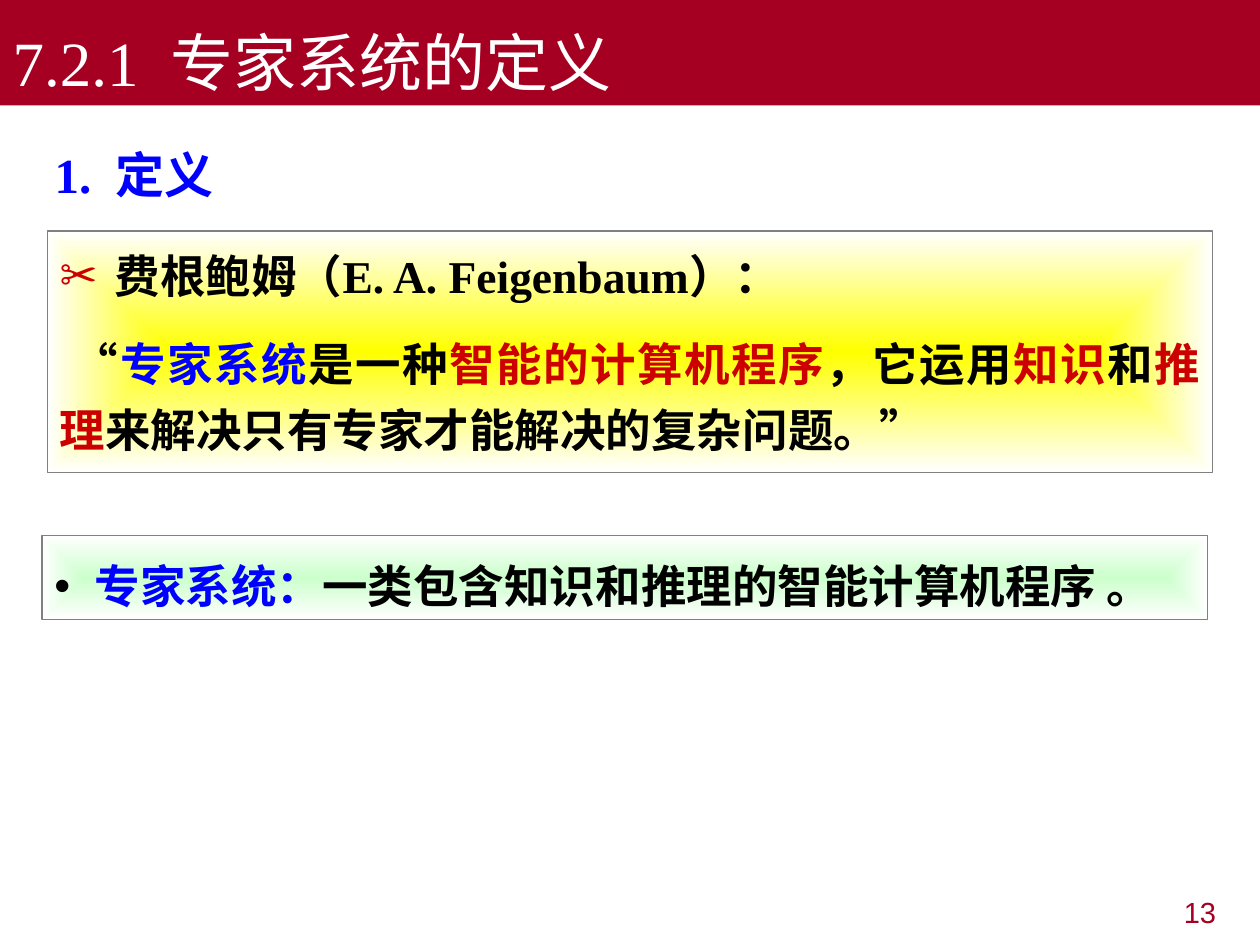
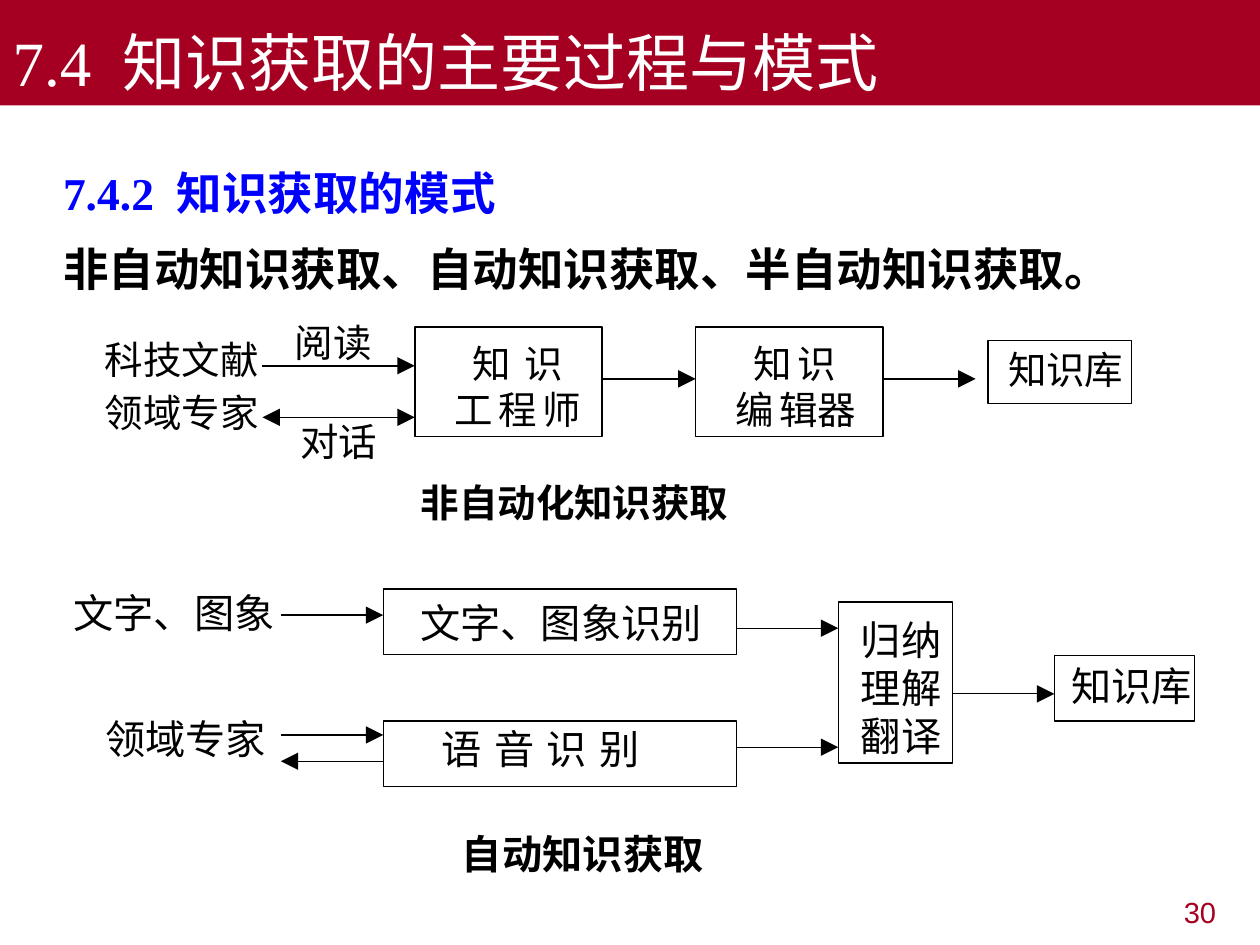
from dataclasses import dataclass

from lxml import etree
from pptx import Presentation
from pptx.dml.color import RGBColor
from pptx.enum.shapes import MSO_CONNECTOR as Connector, MSO_SHAPE as Shape
from pptx.enum.text import MSO_ANCHOR as Anchor, MSO_AUTO_SIZE as AutoSize, PP_ALIGN as Align
from pptx.oxml.ns import qn
from pptx.util import Pt


@dataclass(frozen=True)
class Theme:
    band: str = "A50021"
    white: str = "FFFFFF"
    black: str = "000000"
    blue: str = "0000FF"
    red: str = "CC0000"
    grey: str = "808080"
    yellow: str = "FFFF00"
    green: str = "CCFFCC"
    serif: str = "Times New Roman"
    sans: str = "Arial"
    plain: str = "DejaVu Sans"
    cjk: str = "Noto Sans CJK SC"
    title: float = 36
    heading: float = 28
    body: float = 26
    number: float = 16.6


theme = Theme()

# A paragraph is a list of (text, colour) spans; all places are in points.
# A bullet is (mark, colour, font, hanging indent).
DEFINITION = {
    "title": "7.2.1  专家系统的定义",
    "number": "13",
    "body": {
        "place": (24, 72, 666, 318),
        "paragraphs": [[("1.  定义", theme.blue)]],
        "size": theme.heading, "spacing": 1.2, "align": Align.JUSTIFY,
    },
}
PANELS = [
    {
        "place": (27, 132, 666, 138), "glow": theme.yellow,
        "paragraphs": [
            [(" 费根鲍姆（E. A. Feigenbaum）：", theme.black)],
            [(" “", theme.black), ("专家系统", theme.blue), ("是一种", theme.black),
             ("智能的计算机程序", theme.red), ("，它运用", theme.black),
             ("知识", theme.red), ("和", theme.black), ("推理", theme.red),
             ("来解决只有专家才能解决的复杂问题。”", theme.black)],
        ],
        "bullet": ("✂", theme.red, theme.plain, 25.5),
        "spacing": 1.2, "gap": 13, "align": Align.JUSTIFY,
    },
    {
        "place": (24, 306, 666, 48), "glow": theme.green,
        "paragraphs": [[(" ", theme.black), ("专家系统：", theme.blue),
                        ("一类包含知识和推理的智能计算机程序 。", theme.black)]],
        "bullet": ("•", theme.black, theme.sans, 17),
        "font": theme.plain, "spacing": 1.3,
    },
]
MODES = {
    "title": "7.4  知识获取的主要过程与模式",
    "number": "30",
    "body": {
        "place": (28.8, 78, 655, 95),
        "paragraphs": [[("7.4.2  知识获取的模式", theme.blue)],
                       [("非自动知识获取、自动知识获取、半自动知识获取。", theme.black)]],
        "spacing": 1.4,
    },
}

# Labels: (left, top, step right, step down, parts); arrows: (from x, to x, y, two-headed)
MANUAL = {
    "size": 22, "line": 0.88,
    "labels": [
        (576, 198, 0, 0, ["知识库"]),
        (60, 192, 0, 30, ["科技文献", "领域专家"]),
        (270, 194.5, 30, 0, ["知", "识"]),
        (260, 220.5, 25, 0, ["工", "程", "师"]),
        (430.5, 194.5, 25, 0, ["知", "识"]),
        (420.5, 220.5, 25, 0, ["编", "辑器"]),
        (168.5, 182, 0, 0, ["阅读"]),
        (171.5, 239, 0, 0, ["对话"]),
    ],
    "caption": (240.5, 273.5, 0, 0, ["非自动化知识获取"]),
    "boxes": [(237, 187, 107, 62.5), (397.5, 187, 107, 62.5), (564.5, 194.5, 82, 36)],
    "arrows": [(150, 237, 209, False), (150, 237, 238.5, True),
               (344, 397.5, 216.5, False), (504.5, 557.5, 216.5, False)],
}
AUTOMATIC = {
    "size": 23, "line": 0.75,
    "labels": [
        (240, 342, 0, 0, ["文字、图象识别"]),
        (252.5, 414, 30, 0, ["语", "音", "识", "别"]),
        (612, 378, 0, 0, ["知识库"]),
        (42, 336, 0, 0, ["文字、图象"]),
        (60, 408, 0, 0, ["领域专家"]),
        (492, 351.5, 0, 27.4, ["归纳", "理解", "翻译"]),
    ],
    "caption": (264, 474, 0, 0, ["自动知识获取"]),
    "boxes": [(219, 336.5, 202, 37.5), (219, 412, 202, 37.5),
              (479, 344, 65.5, 92), (602.5, 374.5, 80, 37.5)],
    "arrows": [(160.5, 219, 351.5, False), (421, 479, 359, False),
               (421, 479, 427, False), (544.5, 602.5, 396.5, False),
               (160.5, 219, 420, False), (219, 160.5, 435, False)],
}
LABEL_SLACK = 4


def apply(target, values):
    for name, value in values.items():
        setattr(target, name, value)


def points(place):
    return [Pt(value) for value in place]


def add_xml(parent, tag, **attributes):
    return etree.SubElement(parent, qn(tag), attributes)


def set_bullet(para, bullet):
    """Give a paragraph a hanging bullet, or none at all."""
    props = para._p.get_or_add_pPr()
    mark, colour, font, hang = bullet or (None, None, None, 0)
    props.set("marL", str(Pt(hang)))
    props.set("indent", str(-Pt(hang)))
    if mark:
        add_xml(add_xml(props, "a:buClr"), "a:srgbClr", val=colour)
        add_xml(props, "a:buFont", typeface=font)
        add_xml(props, "a:buChar", char=mark)
    else:
        add_xml(props, "a:buNone")


def write(shape, paragraphs, size=theme.body, font=theme.serif, bold=True, spacing=1.0,
          gap=0, align=Align.LEFT, bullet=None, anchor=Anchor.TOP, margin=(7.2, 3.6),
          wrap=True, fit=AutoSize.NONE):
    """Fill a shape with paragraphs; a bullet marks the first one only."""
    frame = shape.text_frame
    side, edge = points(margin)
    apply(frame, {"word_wrap": wrap, "auto_size": fit, "vertical_anchor": anchor,
                  "margin_left": side, "margin_right": side,
                  "margin_top": edge, "margin_bottom": edge})
    for index, spans in enumerate(paragraphs):
        para = frame.add_paragraph() if index else frame.paragraphs[0]
        apply(para, {"alignment": align, "line_spacing": spacing,
                     "space_before": Pt(gap if index else 0)})
        set_bullet(para, None if index else bullet)
        for text, colour in spans:
            span = para.add_run()
            span.text = text
            apply(span.font, {"size": Pt(size), "name": font, "bold": bold})
            span.font.color.rgb = RGBColor.from_string(colour)
            add_xml(span._r.get_or_add_rPr(), "a:ea", typeface=theme.cjk)


def move(shape, place):
    apply(shape, dict(zip(("left", "top", "width", "height"), points(place))))


def start_page(deck, content):
    """Add a page with its title band, body text and page number."""
    page = deck.slides.add_slide(deck.slide_layouts[1])
    title, body = page.placeholders
    move(title, (0, 0, 720, 60.2))
    title.fill.solid()
    title.fill.fore_color.rgb = RGBColor.from_string(theme.band)
    write(title, [[(content["title"], theme.white)]], size=theme.title, bold=False,
          anchor=Anchor.BOTTOM)
    values = dict(content["body"])
    move(body, values.pop("place"))
    write(body, **values)
    number = page.shapes.add_textbox(*points((546, 510, 156, 28)))
    write(number, [[(content["number"], theme.band)]], size=theme.number, font=theme.sans,
          bold=False, spacing=0.9, align=Align.RIGHT)
    return page


def add_box(page, place, colour, width):
    box = page.shapes.add_shape(Shape.RECTANGLE, *points(place))
    box.shadow.inherit = False
    box.fill.background()
    box.line.color.rgb = RGBColor.from_string(colour)
    box.line.width = Pt(width)
    return box


def add_panel(page, place, glow, **text):
    """Add a framed text panel whose colour fades from the centre to white."""
    panel = add_box(page, place, theme.grey, 0.75)
    fill = etree.Element(qn("a:gradFill"), rotWithShape="1")
    stops = add_xml(fill, "a:gsLst")
    for position, colour in (("0", glow), ("100000", theme.white)):
        add_xml(add_xml(stops, "a:gs", pos=position), "a:srgbClr", val=colour)
    centre = {side: "50000" for side in "ltrb"}
    add_xml(add_xml(fill, "a:path", path="rect"), "a:fillToRect", **centre)
    props = panel._element.spPr
    props.replace(props.find(qn("a:noFill")), fill)
    write(panel, **text)


def add_label(page, label, size, bold=False):
    """Add each part of a label in its own box, a little wider than its text."""
    left, top, right_step, down_step, parts = label
    for index, part in enumerate(parts):
        place = (left + index * right_step, top + index * down_step,
                 len(part) * size + LABEL_SLACK, 1.2 * size)
        box = page.shapes.add_textbox(*points(place))
        write(box, [[(part, theme.black)]], size=size, font=theme.cjk, bold=bold,
              margin=(0, 0))


def add_arrow(page, start, end, level, two_headed, width):
    arrow = page.shapes.add_connector(Connector.STRAIGHT, *points((start, level, end, level)))
    arrow.line.color.rgb = RGBColor.from_string(theme.black)
    arrow.line.width = Pt(width)
    line = arrow.line._get_or_add_ln()
    for tag in ("a:headEnd", "a:tailEnd") if two_headed else ("a:tailEnd",):
        add_xml(line, tag, type="triangle", w="lg", len="lg")
    add_xml(arrow._element.spPr, "a:effectLst")


def add_flow(page, flow):
    for place in flow["boxes"]:
        add_box(page, place, theme.black, flow["line"])
    for label in flow["labels"]:
        add_label(page, label, flow["size"])
    add_label(page, flow["caption"], flow["size"], bold=True)
    for arrow in flow["arrows"]:
        add_arrow(page, *arrow, flow["line"])


def main():
    deck = Presentation()
    apply(deck, {"slide_width": Pt(720), "slide_height": Pt(540)})
    page = start_page(deck, DEFINITION)
    for panel in PANELS:
        add_panel(page, **panel)
    page = start_page(deck, MODES)
    for flow in (MANUAL, AUTOMATIC):
        add_flow(page, flow)
    deck.save("out.pptx")


if __name__ == "__main__":
    main()
